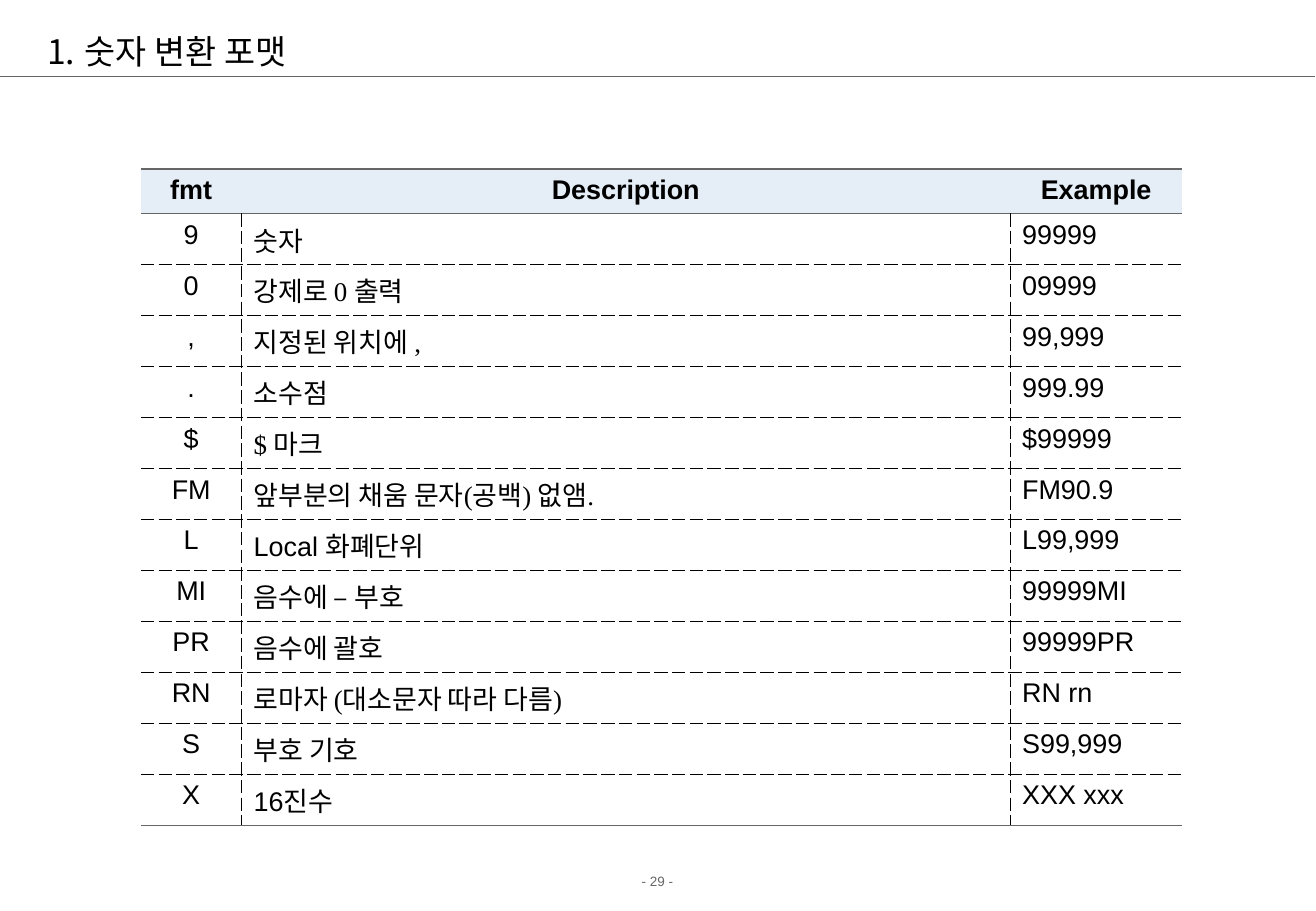
from lxml import etree
from pptx import Presentation
from pptx.dml.color import RGBColor
from pptx.enum import shapes, text
from pptx.oxml import ns
from pptx.util import Inches, Pt

BLACK = RGBColor(0x00, 0x00, 0x00)
GREY = RGBColor(0x66, 0x66, 0x66)
WHITE = RGBColor(0xFF, 0xFF, 0xFF)
HEADER_BLUE = RGBColor(0xE5, 0xED, 0xF7)

SOLID = (GREY, 0.96, "solid")
DASHED = (BLACK, 0.45, "dash")

FORMATS = [
    ("fmt", "Description", "Example"),
    ("9", "숫자", "99999"),
    ("0", "강제로 0 출력", "09999"),
    (",", "지정된 위치에 ,", "99,999"),
    (".", "소수점", "999.99"),
    ("$", "$ 마크", "$99999"),
    ("FM", "앞부분의 채움 문자(공백) 없앰.", "FM90.9"),
    ("L", "Local 화폐단위", "L99,999"),
    ("MI", "음수에 – 부호", "99999MI"),
    ("PR", "음수에 괄호", "99999PR"),
    ("RN", "로마자 (대소문자 따라 다름)", "RN rn"),
    ("S", "부호 기호", "S99,999"),
    ("X", "16진수", "XXX xxx"),
]
ARIAL_DESCRIPTIONS = ("L", "X")
COLUMN_WIDTHS = [0.83, 6.33, 1.42]
HEADER_HEIGHT, BODY_HEIGHT = 0.37, 0.42


def write(paragraph, words, size, font_name, color, bold=False):
    run = paragraph.add_run()
    run.text = words
    settings = {"size": Pt(size), "name": font_name, "bold": bold}
    for name, value in settings.items():
        setattr(run.font, name, value)
    run.font.color.rgb = color


def set_border(cell, side, style):
    properties = cell._tc.get_or_add_tcPr()
    line = etree.SubElement(properties, ns.qn("a:ln" + side))
    if style is None:
        etree.SubElement(line, ns.qn("a:noFill"))
        return
    color, width, dash = style
    line.set("w", str(Pt(width)))
    fill = etree.SubElement(line, ns.qn("a:solidFill"))
    etree.SubElement(fill, ns.qn("a:srgbClr"), val=str(color))
    etree.SubElement(line, ns.qn("a:prstDash"), val=dash)


presentation = Presentation()
presentation.slide_width = Inches(10.84)
presentation.slide_height = Inches(7.5)
slide = presentation.slides.add_slide(presentation.slide_layouts[6])

# Page number
footer = slide.shapes.add_textbox(Inches(0), Inches(7.14), Inches(10.83), Inches(0.24))
footer.text_frame.word_wrap = True
paragraph = footer.text_frame.paragraphs[0]
paragraph.alignment = text.PP_ALIGN.CENTER
write(paragraph, "- 29 -", 8, "Arial", GREY)

# Rule under the title
rule = slide.shapes.add_connector(
    shapes.MSO_CONNECTOR.STRAIGHT, Inches(0), Inches(0.63), Inches(10.83), Inches(0.63))
rule.line.color.rgb = GREY
rule.line.width = Pt(0.75)
etree.SubElement(rule._element.spPr, ns.qn("a:effectLst"))

# Numbered title
title = slide.shapes.add_textbox(Inches(0.29), Inches(0.21), Inches(10.17), Inches(0.42))
title.text_frame.word_wrap = True
title.text_frame.vertical_anchor = text.MSO_ANCHOR.MIDDLE
paragraph = title.text_frame.paragraphs[0]
numbering = paragraph._p.get_or_add_pPr()
numbering.set("marL", str(Inches(0.31)))
numbering.set("indent", str(Inches(-0.31)))
bullet_color = etree.SubElement(numbering, ns.qn("a:buClr"))
etree.SubElement(bullet_color, ns.qn("a:srgbClr"), val=str(BLACK))
etree.SubElement(numbering, ns.qn("a:buFont"), typeface="Montserrat")
etree.SubElement(numbering, ns.qn("a:buAutoNum"), type="arabicPeriod")
write(paragraph, "숫자 변환 포맷", 20, "Montserrat", BLACK)

# Format table
last_row, last_column = len(FORMATS) - 1, len(COLUMN_WIDTHS) - 1
frame = slide.shapes.add_table(
    len(FORMATS), len(COLUMN_WIDTHS), Inches(1.16), Inches(1.39),
    Inches(sum(COLUMN_WIDTHS)), Inches(HEADER_HEIGHT + BODY_HEIGHT * last_row))
table = frame.table
table.horz_banding = False
for column, width in zip(table.columns, COLUMN_WIDTHS):
    column.width = Inches(width)

for row_index, row in enumerate(FORMATS):
    header = row_index == 0
    table.rows[row_index].height = Inches(HEADER_HEIGHT if header else BODY_HEIGHT)
    for column_index, words in enumerate(row):
        cell = table.cell(row_index, column_index)
        borders = {
            "L": None if header or column_index == 0 else DASHED,
            "R": None if header or column_index == last_column else DASHED,
            "T": SOLID if row_index <= 1 else DASHED,
            "B": SOLID if row_index in (0, last_row) else DASHED,
        }
        for side, style in borders.items():
            set_border(cell, side, style)
        cell.fill.solid()
        cell.fill.fore_color.rgb = HEADER_BLUE if header else WHITE

        paragraph = cell.text_frame.paragraphs[0]
        centred = header or column_index == 0
        paragraph.alignment = text.PP_ALIGN.CENTER if centred else text.PP_ALIGN.LEFT
        serif = column_index == 1 and not header and row[0] not in ARIAL_DESCRIPTIONS
        write(paragraph, words, 16, "Times New Roman" if serif else "Arial", BLACK, header)

presentation.save("out.pptx")
